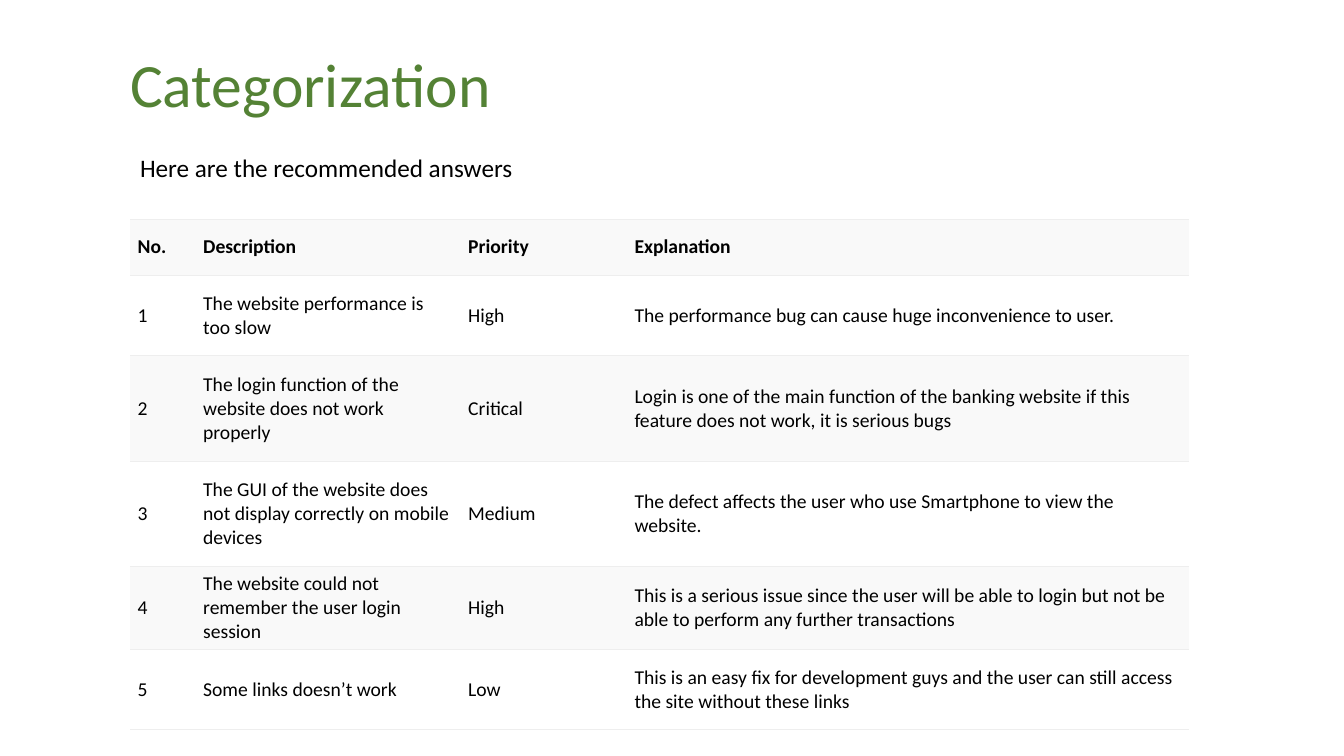
import pptx
import pptx.dml.color
import pptx.enum.text
import pptx.oxml
import pptx.oxml.ns
import pptx.util
from pptx.util import Cm

COLORS = {"title": "548235", "text": "000000", "border": "EEEEEE",
          "shaded": "F9F9F9", "plain": "FFFFFF"}
MIDDLE = pptx.enum.text.MSO_ANCHOR.MIDDLE


def format_text(paragraph, size, color, bold=False):
    for run in paragraph.runs:
        run.font.name = "Calibri"
        run.font.size = pptx.util.Pt(size)
        run.font.bold = bold
        run.font.color.rgb = pptx.dml.color.RGBColor.from_string(COLORS[color])


def add_border(cell, side, fill):
    cell_properties = cell._tc.get_or_add_tcPr()
    cell_properties.append(pptx.oxml.parse_xml(
        f'<a:ln{side} {pptx.oxml.ns.nsdecls("a")} w="9525">{fill}</a:ln{side}>'))


presentation = pptx.Presentation()
presentation.slide_width, presentation.slide_height = Cm(33.87), Cm(19.05)
slide = presentation.slides.add_slide(presentation.slide_layouts[6])

# Title
title = slide.shapes.add_textbox(Cm(3.03), Cm(1.02), Cm(28.5), Cm(2.36))
title.text_frame.word_wrap = True
title.text_frame.vertical_anchor = MIDDLE
title.text_frame.text = "Categorization"
title.text_frame.paragraphs[0].line_spacing = 0.9
format_text(title.text_frame.paragraphs[0], 44, "title")

# Table of answers
rows = [
    ("No.", "Description", "Priority", "Explanation"),
    ("1", "The website performance is too slow", "High",
     "The performance bug can cause huge inconvenience to user."),
    ("2", "The login function of the website does not work properly", "Critical",
     "Login is one of the main function of the banking website if this feature "
     "does not work, it is serious bugs"),
    ("3", "The GUI of the website does not display correctly on mobile devices",
     "Medium", "The defect affects the user who use Smartphone to view the website."),
    ("4", "The website could not remember the user login session", "High",
     "This is a serious issue since the user will be able to login but not be "
     "able to perform any further transactions"),
    ("5", "Some links doesn’t work", "Low",
     "This is an easy fix for development guys and the user can still access "
     "the site without these links"),
]
column_widths = [1.65, 6.68, 4.19, 14.17]
row_heights = [1.42, 2.03, 2.65, 2.65, 2.09, 2.03]

table = slide.shapes.add_table(
    len(rows), len(column_widths), Cm(3.28), Cm(5.52),
    Cm(sum(column_widths)), Cm(sum(row_heights))).table
table.first_row = False
table.horz_banding = False
for column, width in zip(table.columns, column_widths):
    column.width = Cm(width)
for row, height in zip(table.rows, row_heights):
    row.height = Cm(height)

no_line = "<a:noFill/>"
grey_line = f'<a:solidFill><a:srgbClr val="{COLORS["border"]}"/></a:solidFill>'
for row_index, texts in enumerate(rows):
    background = "plain" if row_index % 2 else "shaded"
    for column_index, text in enumerate(texts):
        cell = table.cell(row_index, column_index)
        cell.text_frame.text = text
        format_text(cell.text_frame.paragraphs[0], 14, "text", bold=row_index == 0)
        cell.vertical_anchor = MIDDLE
        cell.margin_left = cell.margin_right = Cm(0.19)
        cell.margin_top = cell.margin_bottom = Cm(0.1)
        for side, line in zip("LRTB", (no_line, no_line, grey_line, grey_line)):
            add_border(cell, side, line)
        cell.fill.solid()
        cell.fill.fore_color.rgb = pptx.dml.color.RGBColor.from_string(COLORS[background])

# Introduction line
introduction = slide.shapes.add_textbox(Cm(3.28), Cm(3.71), Cm(16.94), Cm(1.8))
introduction.text_frame.word_wrap = True
introduction.text_frame.text = "Here are the recommended answers"
format_text(introduction.text_frame.paragraphs[0], 18, "text")

presentation.save("out.pptx")
